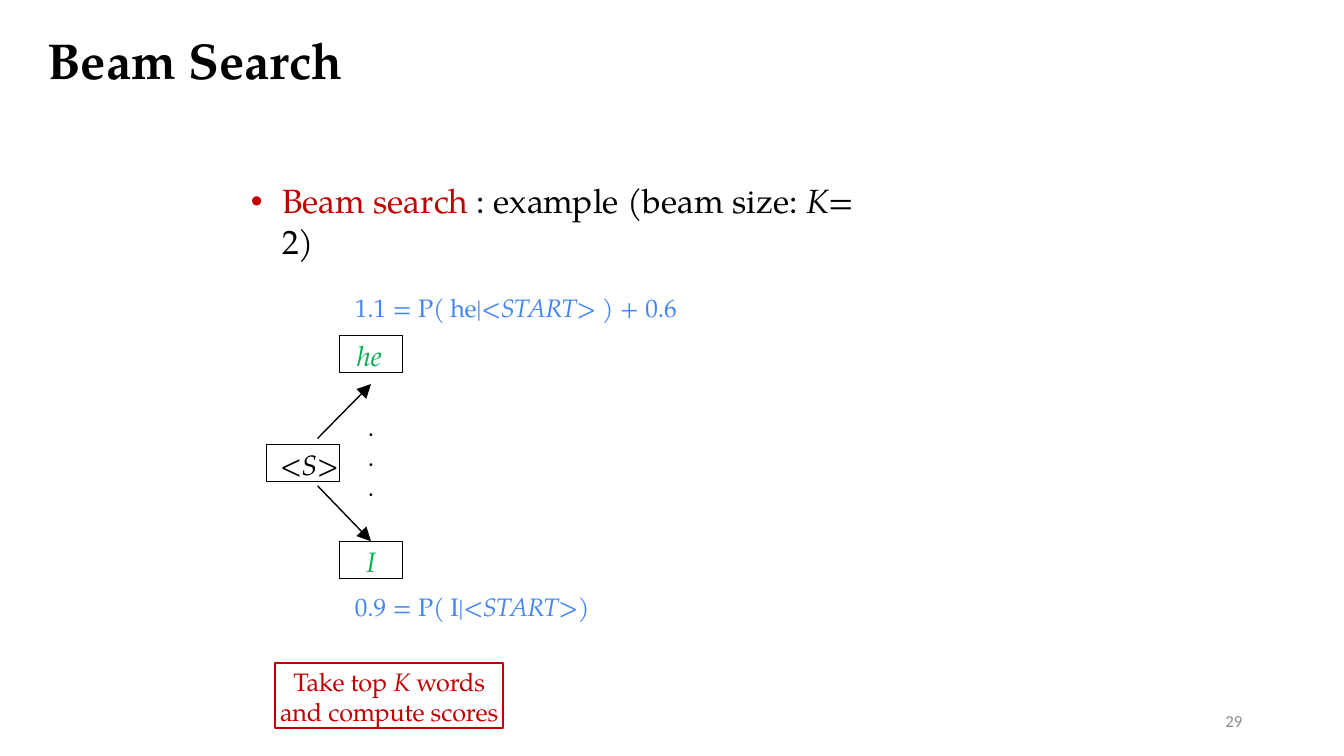
"""Build the beam search slide with its first expansion step."""
import pptx
import pptx.dml.color
import pptx.enum.shapes
import pptx.enum.text
import pptx.oxml
import pptx.oxml.ns
import pptx.util

Inches = pptx.util.Inches
Pt = pptx.util.Pt
Align = pptx.enum.text.PP_ALIGN
Anchor = pptx.enum.text.MSO_ANCHOR
BLACK, RED, GREEN, BLUE, GRAY = "000000", "C00000", "00B050", "4285F4", "8C8C8C"


def color(code):
    return pptx.dml.color.RGBColor.from_string(code)


def node(tag, **attrs):
    item = pptx.oxml.parse_xml(f"<a:{tag} {pptx.oxml.ns.nsdecls('a')}/>")
    for name, value in attrs.items():
        item.set(name, value)
    return item


class Deck:
    """Hold the style and the current slide."""

    def __init__(self, font):
        self.font = font
        self.file = pptx.Presentation()
        self.file.slide_width = Inches(13.33)
        self.file.slide_height = Inches(7.5)
        self.slide = self.file.slides.add_slide(self.file.slide_layouts[6])

    def fill(self, shape, lines, size, ink=BLACK, align=Align.LEFT,
             inset=(0.1, 0.05), anchor=Anchor.TOP, left=0, bullet=None, font=None):
        frame = shape.text_frame
        frame.word_wrap = True
        frame.vertical_anchor = anchor
        frame.margin_left = frame.margin_right = Inches(inset[0])
        frame.margin_top = Inches(inset[1])
        frame.margin_bottom = Inches(0.05 if inset[0] else 0)
        for row, runs in enumerate(lines):
            par = frame.paragraphs[0] if row == 0 else frame.add_paragraph()
            par.alignment = align
            props = par._p.get_or_add_pPr()
            props.set("marL", str(Inches(left)))
            if bullet:
                props.set("indent", str(-Inches(left)))
                props.append(node("buFont", typeface="Arial"))
                props.append(node("buChar", char=bullet))
            for text, look in runs:
                run = par.add_run()
                run.text = text
                run.font.name = font or self.font
                run.font.size = Pt(size)
                run.font.bold = look.get("bold", False)
                run.font.italic = look.get("italic", False)
                run.font.color.rgb = color(look.get("ink", ink))
                if "gap" in look:
                    run._r.get_or_add_rPr().set("spc", str(look["gap"]))

    def text(self, spot, lines, size, **style):
        box = self.slide.shapes.add_textbox(*map(Inches, spot))
        self.fill(box, lines, size, **style)

    def box(self, spot, runs, size, edge=BLACK, width=0.72, **style):
        kind = pptx.enum.shapes.MSO_SHAPE.RECTANGLE
        shape = self.slide.shapes.add_shape(kind, *map(Inches, spot))
        shape.shadow.inherit = False
        shape.fill.background()
        shape.line.color.rgb = color(edge)
        shape.line.width = Pt(width)
        self.fill(shape, [runs], size, inset=(0, 0.03), **style)
        return shape

    def arrow(self, start, end, goal=None):
        kind = pptx.enum.shapes.MSO_CONNECTOR.STRAIGHT
        line = self.slide.shapes.add_connector(kind, *map(Inches, start + end))
        if goal is not None:
            line.end_connect(goal, 0)
        line.line.color.rgb = color(BLACK)
        line.line.width = Pt(1)
        props = line._element.spPr
        head = node("tailEnd", type="triangle", w="lg", len="lg")
        props.find(pptx.oxml.ns.qn("a:ln")).append(head)
        props.append(node("effectLst"))


def main():
    deck = Deck("TeX Gyre Pagella")
    plain, slant = {}, {"italic": True}
    tight = {"gap": -20}
    start = {"italic": True, "gap": -20}
    near = {"gap": -10}
    lean = {"italic": True, "gap": -10}

    deck.text((0.37, 0.24, 8.04, 0.71), [[("Beam Search", {"bold": True})]], 36)
    deck.text((2.39, 1.74, 6.49, 0.5),
              [[("Beam search ", {"ink": RED}), (": example (beam size: ", plain),
                ("K", slant), ("= 2)", plain)]],
              24, left=0.31, bullet="•")

    deck.box((2.64, 4.41, 0.73, 0.37), [("<S>", lean)], 20, left=0.14)
    deck.box((3.37, 3.33, 0.62, 0.37), [("he", slant)], 20, ink=GREEN, left=0.17)
    last = deck.box((3.37, 5.37, 0.62, 0.37), [("I", slant)], 20,
                    ink=GREEN, align=Align.CENTER)
    deck.arrow((3.15, 4.35), (3.68, 3.81))
    deck.arrow((3.15, 4.82), (3.68, 5.37), last)
    deck.text((3.55, 4.03, 0.27, 1.01), [[(".", plain)]] * 3, 18)

    scores = [
        (2.89, "1.1 = ", "P( he|", "<START> ", ") + 0.6"),
        (5.86, "0.9 = ", "P( I|", "<START>", ")"),
    ]
    for top, total, word, given, rest in scores:
        deck.text((3.51, top, 3.76, 0.33),
                  [[(total, plain), (word, tight), (given, start), (rest, plain)]],
                  18, ink=BLUE, inset=(0, 0.01), left=0.01)

    deck.box((2.73, 6.58, 2.26, 0.64),
             [("Take top ", near), ("K", lean), (" words and compute scores", near)],
             18, edge=RED, width=1.56, ink=RED, align=Align.CENTER)
    deck.text((9.42, 6.95, 3, 0.4), [[("29", plain)]], 12, ink=GRAY,
              align=Align.RIGHT, anchor=Anchor.MIDDLE, font="Calibri")
    deck.file.save("out.pptx")


if __name__ == "__main__":
    main()
